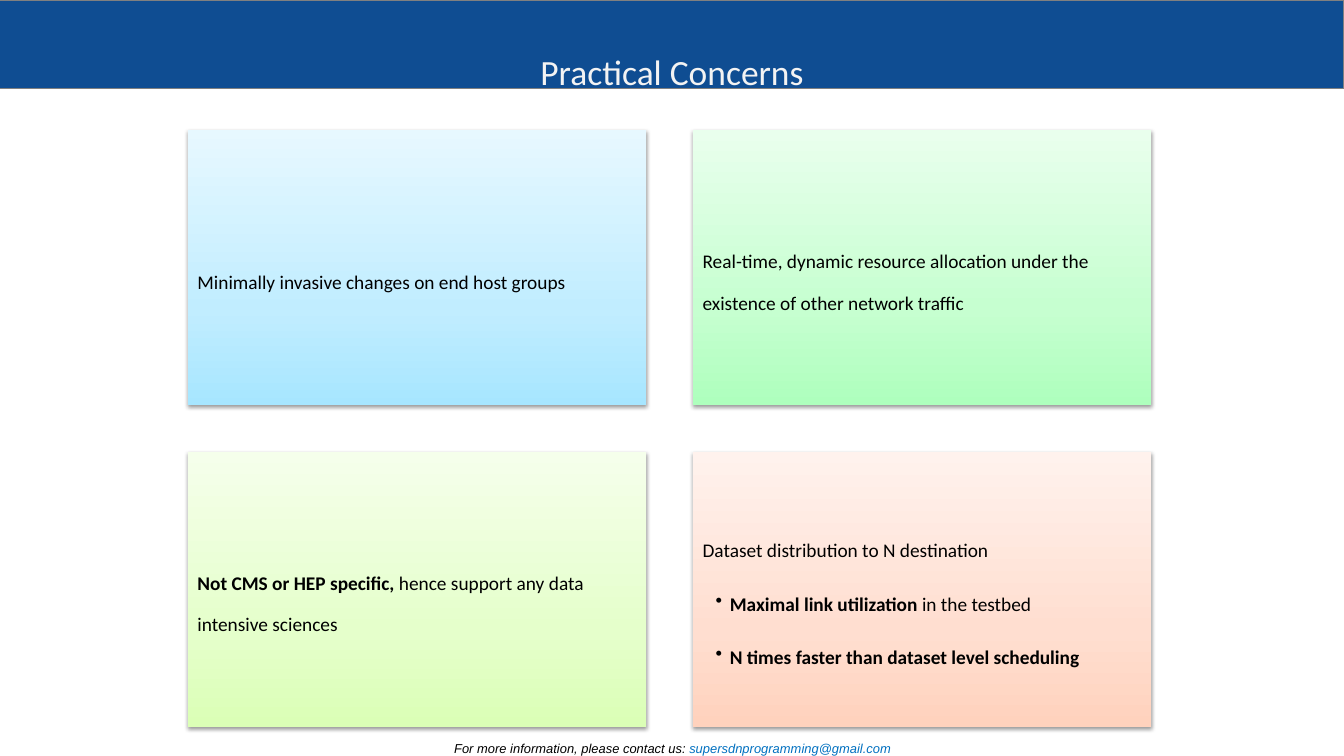
"""Build the Practical Concerns slide: a title band, four cards and a contact line."""
import copy
import dataclasses

import lxml.etree
import pptx
import pptx.dml.color
import pptx.enum.shapes
import pptx.enum.text
import pptx.oxml
import pptx.oxml.ns
import pptx.util

Inches = pptx.util.Inches
Pt = pptx.util.Pt
rgb = pptx.dml.color.RGBColor.from_string
qn = pptx.oxml.ns.qn
anchors = pptx.enum.text.MSO_ANCHOR
aligns = pptx.enum.text.PP_ALIGN
rectangle = pptx.enum.shapes.MSO_SHAPE.RECTANGLE


@dataclasses.dataclass(frozen=True)
class Theme:
    band: str = "0F4D92"
    band_line: str = "808080"
    title: str = "F3F3F3"
    ink: str = "000000"
    link: str = "0070C0"
    blue: tuple = ("A7E6FF", "C1EDFF", "E7F8FF")
    mint: tuple = ("AEFFBD", "C6FFD0", "E9FFED")
    lime: tuple = ("DBFFB6", "E5FFCB", "F5FFEB")
    peach: tuple = ("FFD2BD", "FFDED0", "FFF2ED")
    main_font: str = "Calibri"
    contact_font: str = "Arial"
    title_size: float = 25.3
    card_size: float = 13.8
    contact_size: float = 9.2


theme = Theme()


def set_frame(frame, anchor, margin):
    frame.word_wrap = True
    frame.auto_size = pptx.enum.text.MSO_AUTO_SIZE.NONE
    frame.vertical_anchor = anchor
    frame.margin_left = frame.margin_right = Inches(margin)
    frame.margin_top = frame.margin_bottom = Inches(margin)


def set_font(para, name, size, color):
    para.font.name = name
    para.font.size = Pt(size)
    para.font.color.rgb = rgb(color)


deck = pptx.Presentation()
deck.slide_width = Inches(13.33)
deck.slide_height = Inches(7.5)
page = deck.slides.add_slide(deck.slide_layouts[5])

band = page.shapes.add_shape(rectangle, 0, 0, deck.slide_width, Inches(0.88))
band.shadow.inherit = False
band.fill.solid()
band.fill.fore_color.rgb = rgb(theme.band)
band.line.color.rgb = rgb(theme.band_line)
band.line.width = Pt(0.75)

title = page.shapes.title
title.left, title.top = 0, Inches(0.01)
title.width, title.height = deck.slide_width, Inches(0.91)
title.text_frame.text = "Practical Concerns"
set_frame(title.text_frame, anchors.BOTTOM, 0)
title_para = title.text_frame.paragraphs[0]
title_para.alignment = aligns.CENTER
set_font(title_para, theme.main_font, theme.title_size, theme.title)
band._element.addnext(title._element)

cards = [
    (theme.blue, [[("Minimally invasive changes on end host groups", False)]]),
    (theme.mint, [[("Real-time, dynamic resource allocation under the "
                    "existence of other network traffic", False)]]),
    (theme.lime, [[("Not CMS or HEP specific, ", True),
                   ("hence support any data intensive sciences", False)]]),
    (theme.peach, [[("Dataset distribution to N destination", False)],
                   [("Maximal link utilization ", True), ("in the testbed", False)],
                   [("N times faster than dataset level scheduling", True)]]),
]
card_width, card_height, gap = 4.55, 2.73, 0.46

for index, (colors, lines) in enumerate(cards):
    row, column = divmod(index, 2)
    card = page.shapes.add_shape(
        rectangle,
        Inches(1.86 + column * (card_width + gap)),
        Inches(1.29 + row * (card_height + gap)),
        Inches(card_width), Inches(card_height))
    card.line.fill.background()

    card.fill.gradient()
    card.fill.gradient_angle = 90
    first_stop = card.fill.gradient_stops[0]._gs
    first_stop.addnext(copy.deepcopy(first_stop))
    for stop, position, color in zip(card.fill.gradient_stops, (0, 0.35, 1), colors):
        stop.position = position
        stop.color.rgb = rgb(color)

    card.shadow.inherit = False
    effects = card._element.spPr.find(qn("a:effectLst"))
    shadow = lxml.etree.SubElement(
        effects, qn("a:outerShdw"), blurRad=str(Pt(3.1)), dist=str(Pt(1.6)),
        dir="5400000", rotWithShape="0")
    shade = lxml.etree.SubElement(shadow, qn("a:srgbClr"), val=theme.ink)
    lxml.etree.SubElement(shade, qn("a:alpha"), val="38000")

    frame = card.text_frame
    set_frame(frame, anchors.MIDDLE, 0.1)
    frame.margin_top = Inches(0.2)
    for number, spans in enumerate(lines):
        para = frame.paragraphs[0] if number == 0 else frame.add_paragraph()
        para.alignment = aligns.LEFT
        para.line_spacing = Pt(29.6)
        if number > 0:
            para.space_before = Pt(8.3)
            settings = para._p.get_or_add_pPr()
            settings.set("marL", str(Inches(0.27)))
            settings.set("indent", str(Inches(-0.14)))
            lxml.etree.SubElement(settings, qn("a:buChar"), char="•")
        set_font(para, theme.main_font, theme.card_size, theme.ink)
        for text, bold in spans:
            span = para.add_run()
            span.text = text
            span.font.bold = bold

contact = page.shapes.add_textbox(Inches(1.1), Inches(7.16), Inches(11.14), Inches(0.34))
set_frame(contact.text_frame, anchors.BOTTOM, 0)
contact_para = contact.text_frame.paragraphs[0]
contact_para.alignment = aligns.CENTER
set_font(contact_para, theme.contact_font, theme.contact_size, theme.ink)
contact_para.font.italic = True
for text, color in (("For more information, please contact us: ", theme.ink),
                    ("supersdnprogramming@gmail.com", theme.link)):
    span = contact_para.add_run()
    span.text = text
    span.font.color.rgb = rgb(color)

deck.save("out.pptx")
